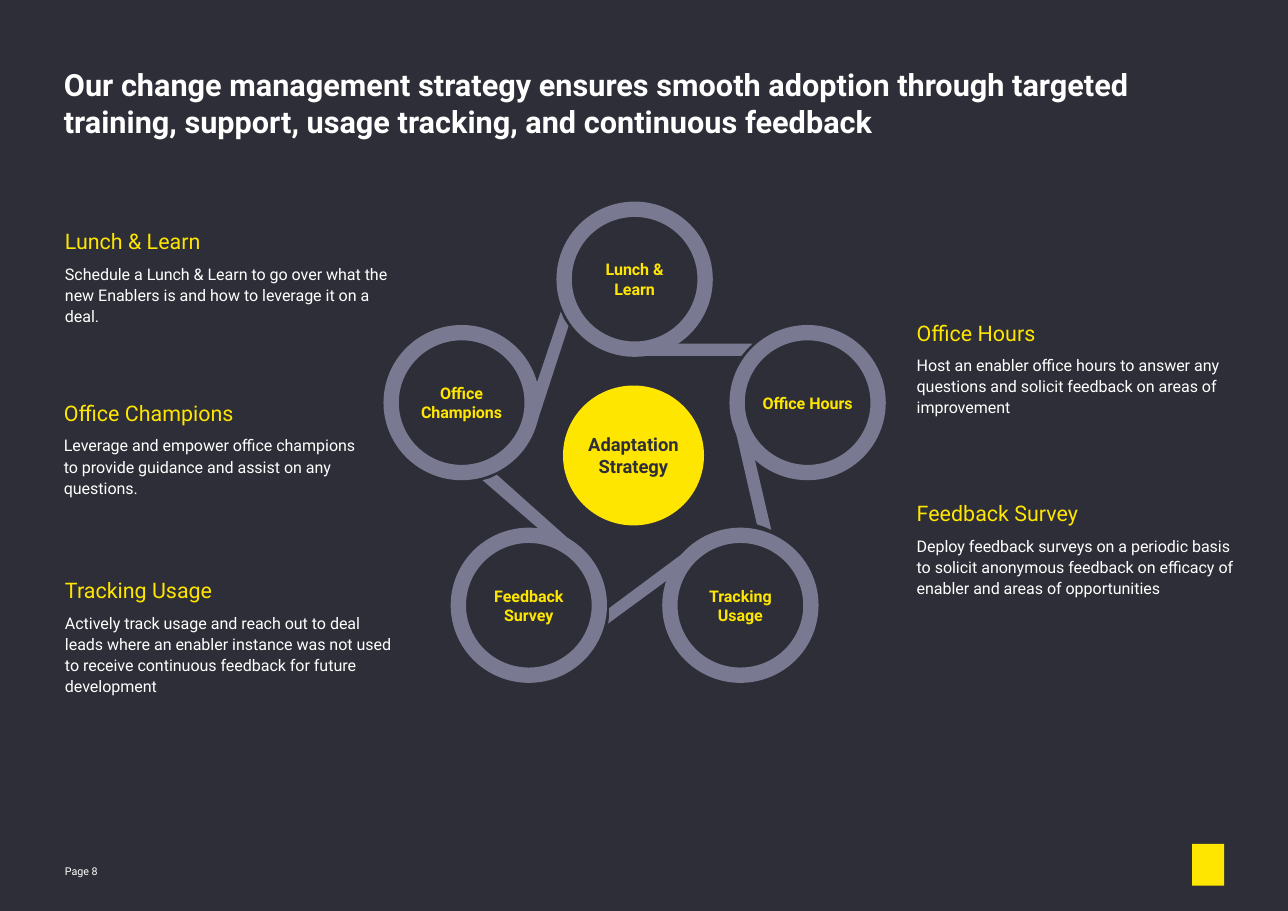
import pptx
import pptx.util
import pptx.dml.color
import pptx.enum.shapes
import pptx.enum.text

PX = 9144  # EMU per px, 100 px to the inch
COLOURS = {"night": "2E2E38", "yellow": "FFE600", "white": "FFFFFF", "ring": "797991"}
MIDDLE = pptx.enum.text.MSO_ANCHOR.MIDDLE
TOP = pptx.enum.text.MSO_ANCHOR.TOP
CENTRE = pptx.enum.text.PP_ALIGN.CENTER
LEFT = pptx.enum.text.PP_ALIGN.LEFT
SHAPES = pptx.enum.shapes.MSO_SHAPE


class Painter:
    """Holds the style and the current slide."""

    font = "Roboto"

    def __init__(self, slide):
        self.slide = slide
        self.paint(slide.background.fill, "night")

    def colour(self, name):
        return pptx.dml.color.RGBColor.from_string(COLOURS[name])

    def paint(self, fill, name):
        if name is None:
            fill.background()
        else:
            fill.solid()
            fill.fore_color.rgb = self.colour(name)

    def frame(self, shape, anchor):
        frame = shape.text_frame
        frame.word_wrap = True
        frame.vertical_anchor = anchor
        frame.margin_left = frame.margin_right = 0
        frame.margin_top = frame.margin_bottom = 0
        return frame

    def add_words(self, paragraph, words, size, colour, bold=False, align=LEFT):
        paragraph.alignment = align
        run = paragraph.add_run()
        run.text = words
        run.font.name = self.font
        run.font.size = pptx.util.Pt(size)
        run.font.bold = bold
        run.font.color.rgb = self.colour(colour)

    def box(self, left, top, width, height, anchor=TOP):
        shape = self.slide.shapes.add_textbox(left * PX, top * PX, width * PX, height * PX)
        return self.frame(shape, anchor)

    def label(self, place, words, size, bold=False, anchor=TOP):
        self.add_words(self.box(*place, anchor).paragraphs[0], words, size, "white", bold)

    def note(self, place, heading, body):
        frame = self.box(*place)
        for paragraph, words, size, colour in (
            (frame.paragraphs[0], heading, 14, "yellow"),
            (frame.add_paragraph(), body, 10.5, "white"),
        ):
            paragraph.line_spacing = 1.1
            paragraph.space_before = pptx.util.Pt(5.3)
            self.add_words(paragraph, words, size, colour)

    def preset(self, kind, left, top, width, height, fill=None):
        shape = self.slide.shapes.add_shape(kind, left * PX, top * PX, width * PX, height * PX)
        shape.shadow.inherit = False
        self.paint(shape.fill, fill)
        shape.line.fill.background()
        return shape

    def circle(self, left, top, words, size, ink, fill=None, rim=None):
        shape = self.preset(SHAPES.OVAL, left, top, 128, 127, fill)
        if rim:
            self.paint(shape.line.fill, rim)
            shape.line.width = pptx.util.Pt(10)
        paragraph = self.frame(shape, MIDDLE).paragraphs[0]
        self.add_words(paragraph, words, size, ink, True, CENTRE)

    def band(self, corners):
        builder = self.slide.shapes.build_freeform(*corners[0], scale=PX)
        builder.add_line_segments(corners[1:], close=True)
        shape = builder.convert_to_shape()
        shape.shadow.inherit = False
        self.paint(shape.fill, "ring")
        shape.line.fill.background()


# Left, top, width, height, heading and body of each explanation
NOTES = [
    ((59, 205, 297, 117), "Lunch & Learn",
     "Schedule a Lunch & Learn to go over what the new Enablers is and how to leverage it on a deal."),
    ((58, 361, 271, 109), "Office Champions",
     "Leverage and empower office champions to provide guidance and assist on any questions."),
    ((59, 522, 297, 117), "Tracking Usage",
     "Actively track usage and reach out to deal leads where an enabler instance was not used "
     "to receive continuous feedback for future development"),
    ((832, 288, 289, 90), "Office Hours",
     "Host an enabler office hours to answer any questions and solicit feedback on areas of improvement"),
    ((832, 452, 289, 110), "Feedback Survey",
     "Deploy feedback surveys on a periodic basis to solicit anonymous feedback on efficacy "
     "of enabler and areas of opportunities"),
]

# Left, top and name of each ring, with the band that leaves it
CYCLE = [
    (512, 190, "Lunch & Learn", [(576, 312), (683, 312), (678, 317), (673, 323), (576, 323)]),
    (669, 302, "Office Hours", [(676, 378), (700, 481), (693, 478), (687, 476), (665, 380)]),
    (416, 486, "Feedback Survey", [(519, 506), (438, 436), (445, 434), (451, 431), (526, 498)]),
    (355, 302, "Office Champions", [(475, 384), (509, 283), (512, 290), (516, 296), (486, 388)]),
    (608, 486, "Tracking Usage", [(638, 503), (552, 566), (553, 559), (553, 552), (631, 494)]),
]


def main():
    deck = pptx.Presentation()
    deck.slide_width, deck.slide_height = 1169 * PX, 827 * PX
    painter = Painter(deck.slides.add_slide(deck.slide_layouts[6]))

    # Title
    painter.label(
        (58, 60, 1052, 71),
        "Our change management strategy ensures smooth adoption through targeted training, "
        "support, usage tracking, and continuous feedback",
        20, bold=True)

    # Cycle of five activities around the strategy
    for left, top, activity, corners in CYCLE:
        painter.circle(left, top, activity, 10.5, "yellow", rim="ring")
        painter.band(corners)
    painter.circle(511, 350, "Adaptation Strategy", 12, "night", fill="yellow")

    # Explanations on both sides
    for place, heading, body in NOTES:
        painter.note(place, heading, body)

    # Footer: page number and brand mark placeholder
    painter.label((59, 780, 64, 22), "Page 8", 7, anchor=MIDDLE)
    painter.preset(SHAPES.RECTANGLE, 1082, 766, 29, 38, "yellow")

    deck.save("out.pptx")


if __name__ == "__main__":
    main()
